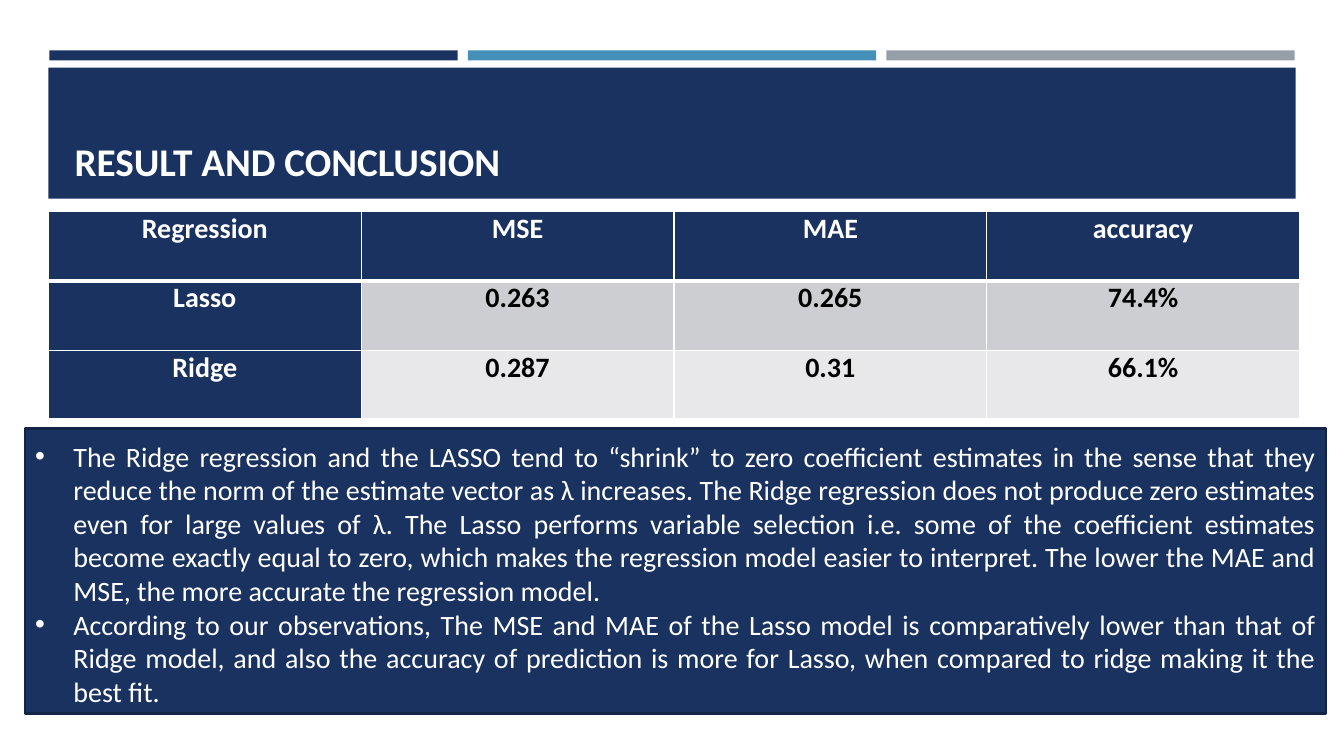
from lxml.etree import SubElement
from pptx import Presentation
from pptx.dml.color import RGBColor
from pptx.enum.shapes import MSO_SHAPE as Shape
from pptx.enum.text import MSO_ANCHOR as Anchor, PP_ALIGN as Align
from pptx.oxml.ns import qn
from pptx.util import Inches, Pt

FONT = "Calibri"
COLORS = {
    "navy": "1A3260", "blue": "4590B8", "gray": "969FA7", "outline": "132547",
    "band_dark": "CDCED2", "band_light": "E8E8EA",
    "white": "FFFFFF", "black": "000000",
}
RESULTS = [
    ["Regression", "MSE", "MAE", "accuracy"],
    ["Lasso", "0.263", "0.265", "74.4%"],
    ["Ridge", "0.287", "0.31", "66.1%"],
]
ROW_HEIGHTS = [0.69, 0.69, 0.67]
CONCLUSIONS = [
    "The Ridge regression and the LASSO tend to “shrink” to zero coefficient "
    "estimates in the sense that they reduce the norm of the estimate vector as λ "
    "increases. The Ridge regression does not produce zero estimates even for large "
    "values of λ. The Lasso performs variable selection i.e. some of the "
    "coefficient estimates become exactly equal to zero, which makes the regression "
    "model easier to interpret. The lower the MAE and MSE, the more accurate the "
    "regression model.",
    "According to our observations, The MSE and MAE of the Lasso model is "
    "comparatively lower than that of Ridge model, and also the accuracy of "
    "prediction is more for Lasso, when compared to ridge making it the best fit.",
]


def color(name):
    return RGBColor.from_string(COLORS[name])


def format_paragraph(paragraph, size, font_color, align, bold=False):
    paragraph.alignment = align
    for run in paragraph.runs:
        run.font.name = FONT
        run.font.size = Pt(size)
        run.font.bold = bold
        run.font.color.rgb = color(font_color)


def add_box(slide, left, top, width, height, fill):
    shape = slide.shapes.add_shape(
        Shape.RECTANGLE, Inches(left), Inches(top), Inches(width), Inches(height))
    shape.shadow.inherit = False
    shape.fill.solid()
    shape.fill.fore_color.rgb = color(fill)
    shape.line.fill.background()
    return shape


def place_title(slide, text):
    title = slide.shapes.title
    title.left, title.top = Inches(0.64), Inches(0.77)
    title.width, title.height = Inches(12.06), Inches(1.11)
    title.text_frame.text = text
    title.text_frame.vertical_anchor = Anchor.BOTTOM
    format_paragraph(title.text_frame.paragraphs[0], 28, "white", Align.LEFT, bold=True)
    # Bring the title in front of its band
    slide.shapes._spTree.append(title._element)


def set_borders(cell, widths):
    properties = cell._tc.get_or_add_tcPr()
    for index, (side, width) in enumerate(widths.items()):
        line = SubElement(properties, qn(f"a:ln{side}"), w=str(Pt(width)))
        fill = SubElement(line, qn("a:solidFill"))
        SubElement(fill, qn("a:srgbClr"), val=COLORS["white"])
        properties.insert(index, line)


def add_results_table(slide):
    table = slide.shapes.add_table(
        len(RESULTS), len(RESULTS[0]), Inches(0.48), Inches(2.1),
        Inches(12.41), Inches(sum(ROW_HEIGHTS))).table
    table.horz_banding = False
    for row, height in zip(table.rows, ROW_HEIGHTS):
        row.height = Inches(height)
    for row_index, values in enumerate(RESULTS):
        for column_index, value in enumerate(values):
            cell = table.cell(row_index, column_index)
            is_heading = row_index == 0 or column_index == 0
            band = "band_dark" if row_index == 1 else "band_light"
            cell.text_frame.text = value
            cell.margin_left = cell.margin_right = Inches(0.07)
            cell.margin_top = cell.margin_bottom = 0
            cell.fill.solid()
            cell.fill.fore_color.rgb = color("navy" if is_heading else band)
            format_paragraph(cell.text_frame.paragraphs[0], 20,
                             "white" if is_heading else "black", Align.CENTER, bold=True)
            set_borders(cell, {"L": 1, "R": 1, "T": 3 if row_index == 1 else 1,
                               "B": 3 if row_index == 0 else 1})


def add_bullet(paragraph):
    properties = paragraph._p.get_or_add_pPr()
    properties.set("marL", str(Inches(0.38)))
    properties.set("indent", str(Inches(-0.38)))
    SubElement(properties, qn("a:buFont"), typeface="Arial")
    SubElement(properties, qn("a:buChar"), char="•")


def add_conclusions(slide):
    box = add_box(slide, 0.25, 4.25, 12.9, 2.83, "navy")
    box.line.color.rgb = color("outline")
    box.line.width = Pt(1.75)
    frame = box.text_frame
    frame.word_wrap = True
    frame.vertical_anchor = Anchor.MIDDLE
    frame.margin_top = Inches(0.1)
    frame.text = "\n".join(CONCLUSIONS)
    for paragraph in frame.paragraphs:
        format_paragraph(paragraph, 20, "white", Align.JUSTIFY)
        add_bullet(paragraph)


def main():
    presentation = Presentation()
    presentation.slide_width = Inches(13.33)
    presentation.slide_height = Inches(7.5)
    slide = presentation.slides.add_slide(presentation.slide_layouts[5])

    # Header: three accent bars above the title band
    for index, fill in enumerate(["navy", "blue", "gray"]):
        add_box(slide, 0.49 + index * 4.15, 0.5, 4.05, 0.1, fill)
    add_box(slide, 0.48, 0.67, 12.37, 1.3, "navy")
    place_title(slide, "RESULT AND CONCLUSION")

    # Body: scores and what they show
    add_results_table(slide)
    add_conclusions(slide)

    presentation.save("out.pptx")


if __name__ == "__main__":
    main()
